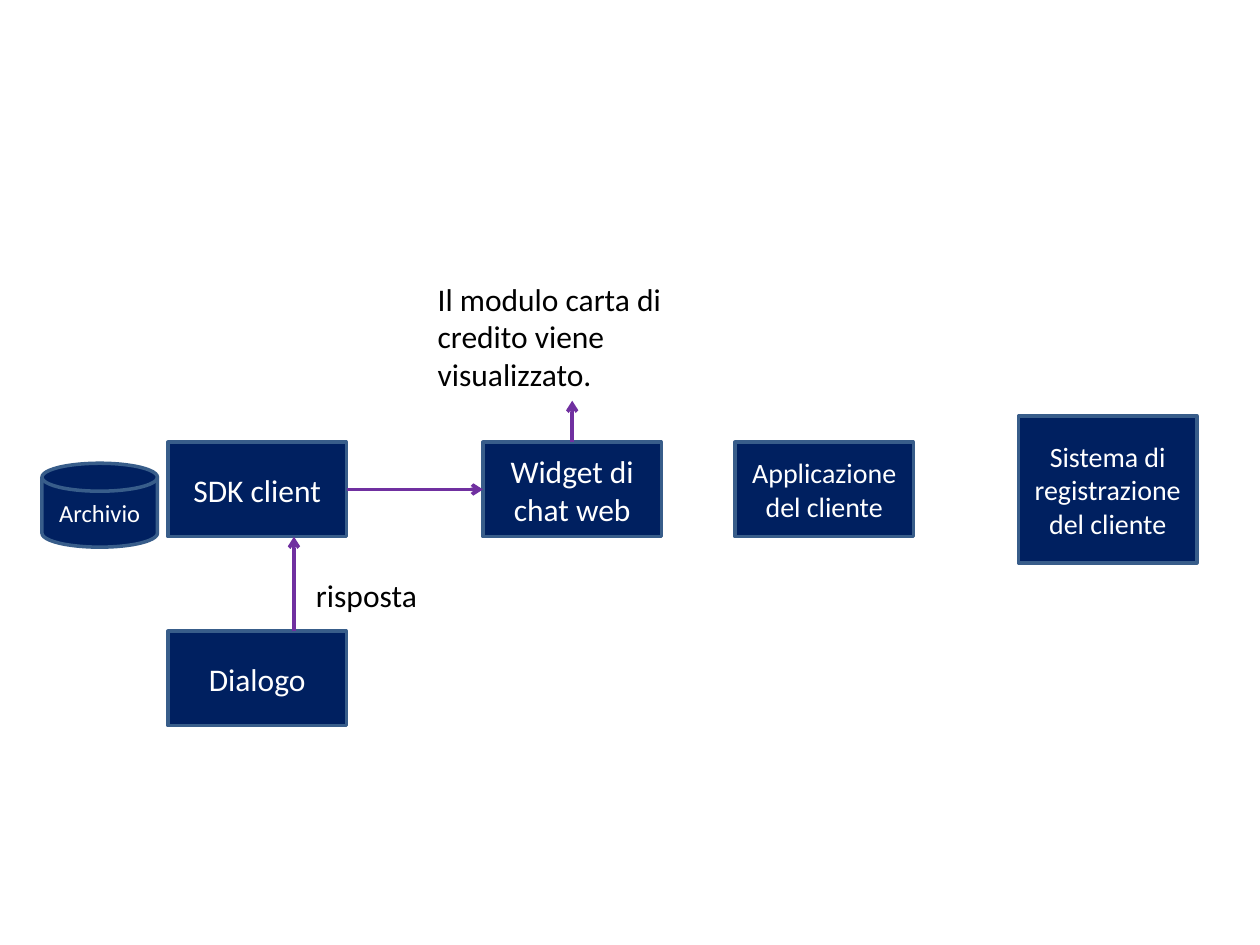
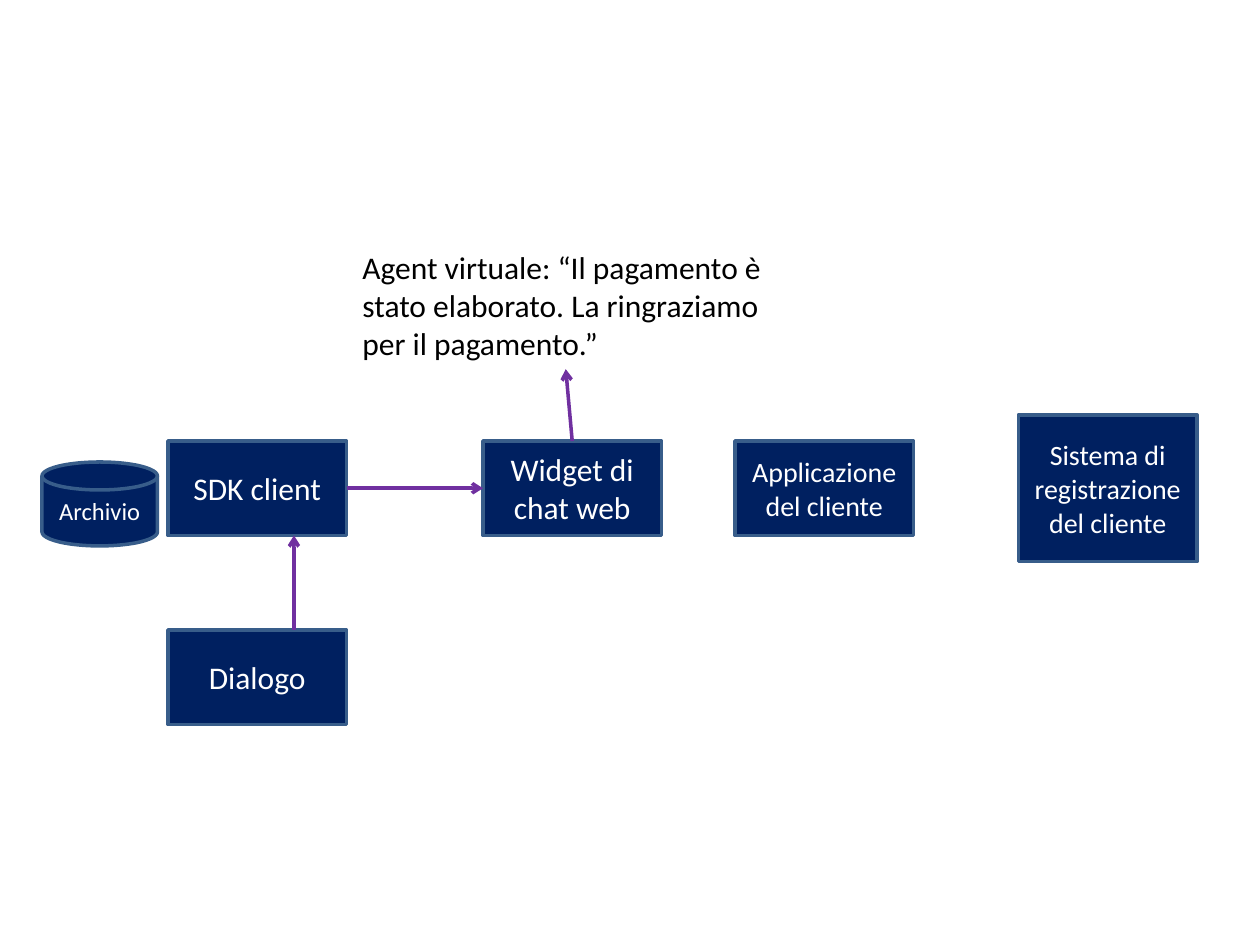
from dataclasses import dataclass

from lxml import etree
from pptx import Presentation
from pptx.dml.color import RGBColor
from pptx.enum.shapes import MSO_CONNECTOR, MSO_SHAPE
from pptx.enum.text import MSO_ANCHOR, MSO_AUTO_SIZE, PP_ALIGN
from pptx.oxml.ns import qn
from pptx.slide import Slide
from pptx.util import Pt

RECT = MSO_SHAPE.RECTANGLE
DISK = MSO_SHAPE.FLOWCHART_MAGNETIC_DISK
STRAIGHT = MSO_CONNECTOR.STRAIGHT
MIDDLE = MSO_ANCHOR.MIDDLE
CENTER = PP_ALIGN.CENTER
FIT_TEXT = MSO_AUTO_SIZE.SHAPE_TO_FIT_TEXT

NAVY = RGBColor(0x00, 0x20, 0x60)
STEEL = RGBColor(0x38, 0x5D, 0x8A)
PURPLE = RGBColor(0x70, 0x30, 0xA0)
WHITE = RGBColor(0xFF, 0xFF, 0xFF)
BLACK = RGBColor(0x00, 0x00, 0x00)
FONT = "Calibri"
LINE_WIDTH = 2

BOX_W, BOX_H = 102, 54
SDK_X, WIDGET_X, APP_X, SYSTEM_X = 96, 276, 420, 582
DIALOG_DY = 108
REPLY_X = 168


@dataclass(frozen=True)
class Node:
    """A diagram box; dy is its top relative to the main row."""
    text: str
    x: float
    dy: float = 0
    w: float = BOX_W
    h: float = BOX_H
    size: int = 18
    kind: MSO_SHAPE = RECT


@dataclass(frozen=True)
class Label:
    text: str
    x: float
    y: float
    w: float
    h: float
    wrap: bool = False


@dataclass(frozen=True)
class Flow:
    """One slide: the top of its main row, where the output arrow ends, its labels."""
    row_y: float
    output_end: tuple[float, float]
    labels: tuple[Label, ...]


NODES = (
    Node("SDK client", SDK_X),
    Node("Widget di chat web", WIDGET_X),
    Node("Applicazione del cliente", APP_X, size=16),
    Node("Archivio", 24, dy=12, w=66, h=48, size=14, kind=DISK),
    Node("Sistema di registrazione del cliente", SYSTEM_X, dy=-15, h=84, size=16),
    Node("Dialogo", SDK_X, dy=DIALOG_DY),
)

FLOWS = (
    Flow(252.7, (327, 229), (
        Label("Il modulo carta di credito viene visualizzato.", 243, 156.3, 168, 72, wrap=True),
        Label("risposta", 173.5, 325.5, 72, 29),
    )),
    Flow(252, (323.3, 211), (
        Label("Agent virtuale: “Il pagamento è\vstato elaborato. La ringraziamo\v"
              "per il pagamento.”", 200, 138.3, 246, 72),
    )),
)


def style_text(tf, size: int, color: RGBColor) -> None:
    for p in tf.paragraphs:
        for r in p.runs:
            r.font.name = FONT
            r.font.size = Pt(size)
            r.font.color.rgb = color


def add_node(s: Slide, node: Node, row_y: float) -> None:
    sp = s.shapes.add_shape(node.kind, Pt(node.x), Pt(row_y + node.dy), Pt(node.w), Pt(node.h))
    sp.shadow.inherit = False
    sp.fill.solid()
    sp.fill.fore_color.rgb = NAVY
    sp.line.color.rgb = STEEL
    sp.line.width = Pt(LINE_WIDTH)
    tf = sp.text_frame
    tf.text = node.text
    tf.word_wrap = True
    tf.vertical_anchor = MIDDLE
    tf.paragraphs[0].alignment = CENTER
    style_text(tf, node.size, WHITE)


def add_label(s: Slide, label: Label) -> None:
    tb = s.shapes.add_textbox(Pt(label.x), Pt(label.y), Pt(label.w), Pt(label.h))
    tf = tb.text_frame
    tf.text = label.text
    tf.word_wrap = label.wrap
    tf.auto_size = FIT_TEXT
    style_text(tf, 18, BLACK)


def add_arrow(s: Slide, start: tuple[float, float], end: tuple[float, float]) -> None:
    cx = s.shapes.add_connector(STRAIGHT, *map(Pt, start + end))
    cx.line.color.rgb = PURPLE
    cx.line.width = Pt(LINE_WIDTH)
    sp_pr = cx._element.spPr
    etree.SubElement(sp_pr.find(qn("a:ln")), qn("a:tailEnd"), type="arrow")
    etree.SubElement(sp_pr, qn("a:effectLst"))


def add_flow(s: Slide, flow: Flow) -> None:
    y = flow.row_y
    middle = y + BOX_H / 2
    for node in NODES:
        add_node(s, node, y)
    for label in flow.labels:
        add_label(s, label)
    add_arrow(s, (REPLY_X, y + DIALOG_DY), (REPLY_X, y + BOX_H))
    add_arrow(s, (SDK_X + BOX_W, middle), (WIDGET_X, middle))
    add_arrow(s, (WIDGET_X + BOX_W / 2, y), flow.output_end)


def main() -> None:
    prs = Presentation()
    prs.slide_width, prs.slide_height = Pt(720), Pt(540)
    blank = prs.slide_layouts[6]
    for flow in FLOWS:
        add_flow(prs.slides.add_slide(blank), flow)
    prs.save("out.pptx")


if __name__ == "__main__":
    main()
